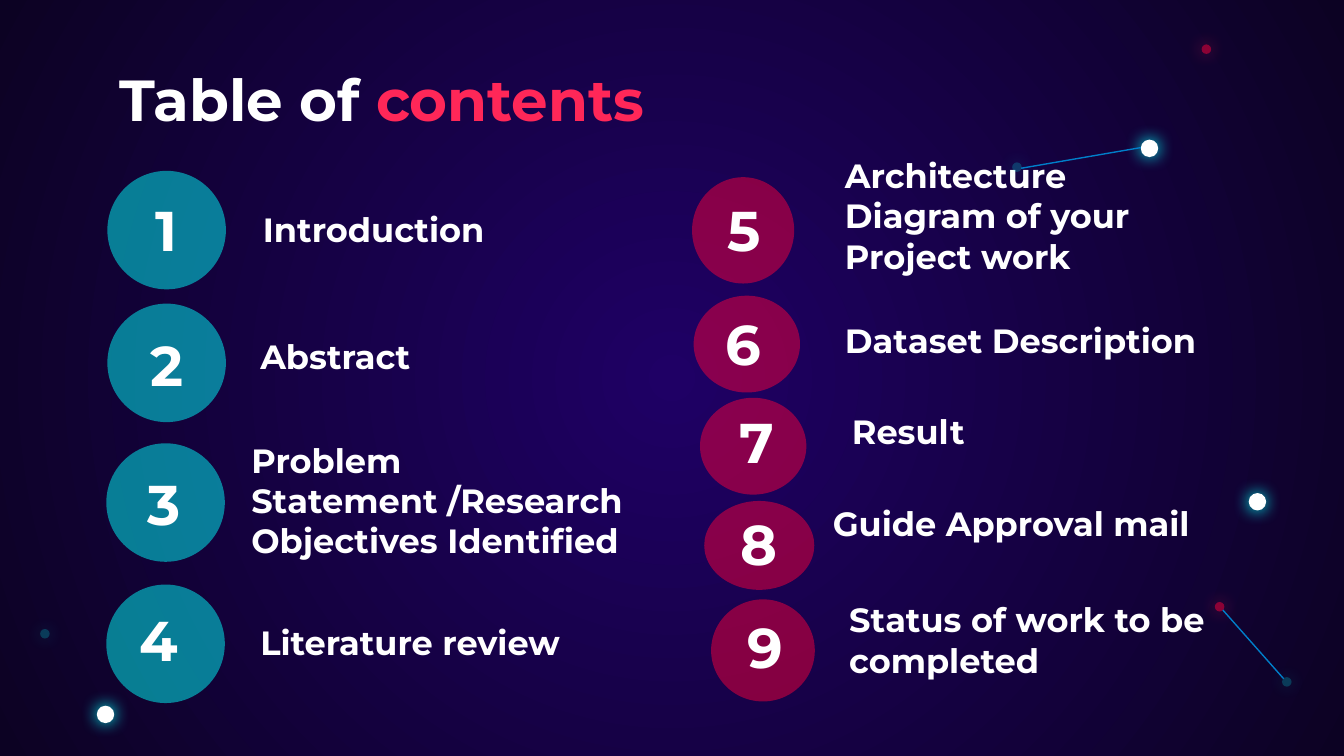
from lxml import etree
from pptx import Presentation
from pptx.dml.color import RGBColor
from pptx.enum import shapes, text
from pptx.oxml import ns
from pptx.util import Cm, Pt

WHITE = RGBColor(0xFF, 0xFF, 0xFF)
CYAN = RGBColor(0x00, 0xFF, 0xFD)
RED = RGBColor(0xFF, 0x00, 0x3A)
PINK = RGBColor(0xFF, 0x27, 0x58)
BLUE = RGBColor(0x00, 0x7F, 0xCA)
INDIGO = RGBColor(0x1F, 0x00, 0x65)
NIGHT = RGBColor(0x0C, 0x02, 0x23)

LEFT, CENTER = text.PP_ALIGN.LEFT, text.PP_ALIGN.CENTER


def add(node, tag, **attrs):
    return etree.SubElement(node, ns.qn(tag), attrs)


class Deck:
    font = {"name": "Montserrat", "bold": True}
    frame = {"word_wrap": True, "vertical_anchor": text.MSO_ANCHOR.MIDDLE}
    inset = Cm(0.25)

    def __init__(self, wide, high):
        self.prs = Presentation()
        self.prs.slide_width, self.prs.slide_height = Cm(wide), Cm(high)
        self.slide = self.prs.slides.add_slide(self.prs.slide_layouts[6])

    def backdrop(self, *colors):
        """Fill the slide with a round gradient, from centre to edge."""
        fill = self.slide.background.fill
        fill.gradient()
        for stop, color in zip(fill.gradient_stops, colors):
            stop.color.rgb = color
        bg = self.slide.background._cSld.find(".//" + ns.qn("a:gradFill"))
        bg.remove(bg.find(ns.qn("a:lin")))
        ring = add(bg, "a:path", path="circle")
        add(ring, "a:fillToRect", l="50000", t="50000", r="50000", b="50000")

    def disc(self, x, y, w, h, color, alpha=100):
        disc = self.slide.shapes.add_shape(
            shapes.MSO_SHAPE.OVAL, Cm(x), Cm(y), Cm(w), Cm(h))
        disc.shadow.inherit = False
        disc.fill.solid()
        disc.fill.fore_color.rgb = color
        disc.line.fill.background()
        if alpha < 100:
            tint = disc._element.spPr.find(".//" + ns.qn("a:srgbClr"))
            add(tint, "a:alpha", val=str(alpha * 1000))
        return disc

    def star(self, x, y, size, color, alpha, glow):
        star = self.disc(x, y, size, size, color, alpha)
        effects = star._element.spPr.find(ns.qn("a:effectLst"))
        halo = add(effects, "a:outerShdw", blurRad=str(Pt(9)), dist="0",
                   algn="ctr", rotWithShape="0")
        add(halo, "a:srgbClr", val=str(glow))

    def line(self, x1, y1, x2, y2):
        line = self.slide.shapes.add_connector(
            shapes.MSO_CONNECTOR.STRAIGHT, Cm(x1), Cm(y1), Cm(x2), Cm(y2))
        line.line.color.rgb = BLUE
        line.line.width = Pt(0.75)
        add(line._element.spPr, "a:effectLst")

    def words(self, x, y, w, h, size, *runs, align=LEFT):
        """Add a text box; runs are pairs of wording and colour."""
        frame = self.slide.shapes.add_textbox(
            Cm(x), Cm(y), Cm(w), Cm(h)).text_frame
        for key, value in self.frame.items():
            setattr(frame, key, value)
        for side in ("left", "right", "top", "bottom"):
            setattr(frame, "margin_" + side, self.inset)
        para = frame.paragraphs[0]
        para.alignment = align
        for wording, color in runs:
            run = para.add_run()
            run.text = wording
            run.font.size = Pt(size)
            run.font.color.rgb = color
            for key, value in self.font.items():
                setattr(run.font, key, value)


# Star styles: size, colour, opacity, glow
SUN = (0.33, WHITE, 100, CYAN)
TEAL = (0.18, CYAN, 20, CYAN)
RUBY = (0.18, RED, 48, PINK)

STARS = [
    (1.83, 13.34, SUN), (0.76, 11.89, TEAL), (23.6, 9.32, SUN),
    (22.96, 11.38, RUBY), (24.23, 12.8, TEAL), (22.71, 0.84, RUBY),
]
TOP_STARS = [(21.56, 2.64, SUN), (19.13, 3.07, TEAL)]

# Wording, its place, disc box, place of the number
TOPICS = [
    ("Introduction", (4.72, 3.45), (2.03, 3.23, 2.24, 2.24), (2.44, 3.51)),
    ("Abstract", (4.67, 5.84), (2.03, 5.74, 2.24, 2.24), (2.44, 6.05)),
    ("Problem Statement /Research Objectives Identified",
     (4.5, 8.56), (2.01, 8.38, 2.24, 2.24), (2.39, 8.69)),
    ("Literature review",
     (4.67, 11.25), (2.01, 11.05, 2.24, 2.24), (2.29, 11.25)),
    ("Architecture Diagram of your Project work",
     (15.72, 3.18), (13.08, 3.35, 1.93, 2.01), (13.36, 3.51)),
    ("Dataset Description",
     (15.72, 5.54), (13.11, 5.59, 2.01, 1.83), (13.34, 5.66)),
    ("Result", (15.85, 7.26), (13.23, 7.52, 2.01, 1.83), (13.59, 7.51)),
    ("Guide Approval mail",
     (15.49, 8.99), (13.31, 9.47, 2.08, 1.68), (13.64, 9.45)),
    ("Status of work to be completed",
     (15.8, 11.2), (13.44, 11.33, 1.96, 1.93), (13.75, 11.38)),
]


def main():
    deck = Deck(25.4, 14.29)
    deck.backdrop(INDIGO, NIGHT)
    for x, y, style in STARS:
        deck.star(x, y, *style)
    deck.line(24.26, 12.83, 23.11, 11.53)

    deck.words(2.01, 1.07, 21.41, 1.57, 31,
               ("Table of ", WHITE), ("contents", PINK))
    for num, (topic, place, disc, spot) in enumerate(TOPICS, 1):
        tint = (CYAN, 49) if num < 5 else (RED, 48)
        deck.disc(*disc, *tint)
        deck.words(*spot, 1.42, 1.65, 30, (str(num), WHITE), align=CENTER)
        deck.words(*place, 7.59, 1.78, 18, (topic, WHITE))

    for x, y, style in TOP_STARS:
        deck.star(x, y, *style)
    deck.line(21.56, 2.79, 19.3, 3.18)
    deck.prs.save("out.pptx")


if __name__ == "__main__":
    main()
